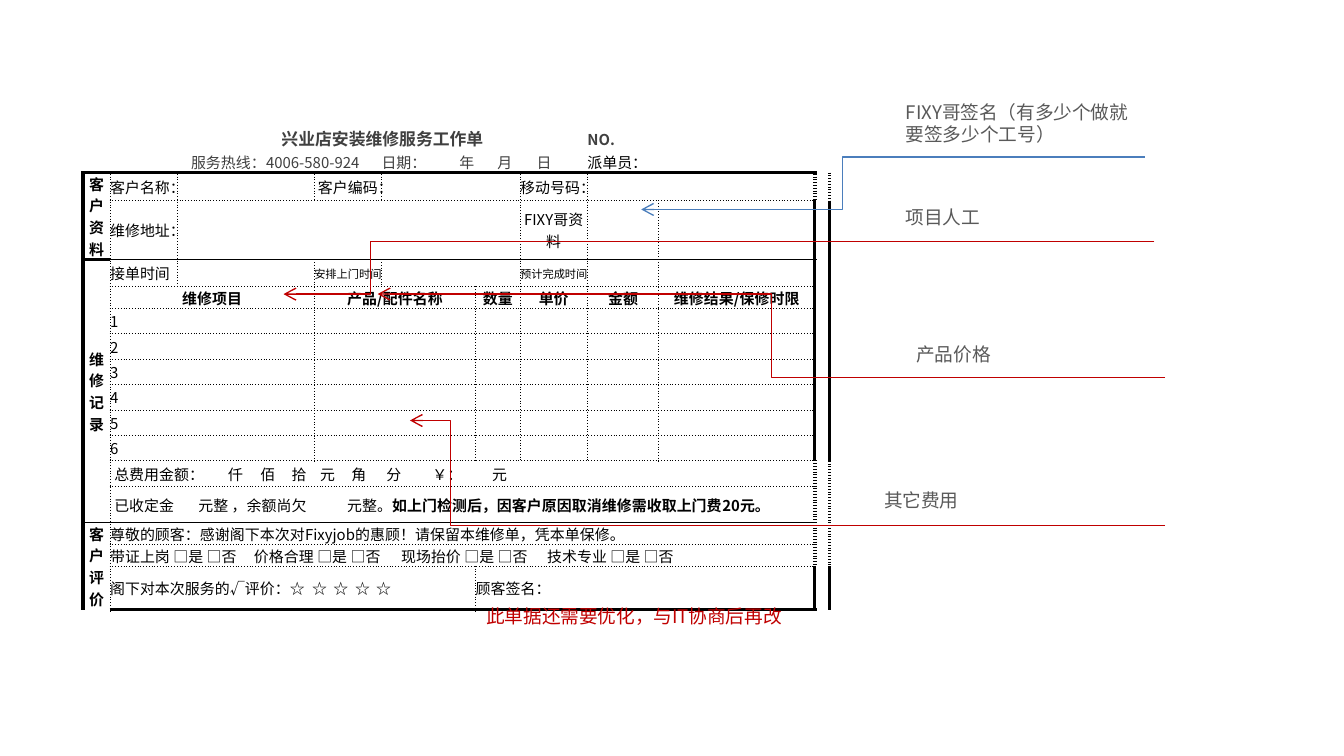
from itertools import product

from lxml import etree
from pptx import Presentation
from pptx.dml.color import RGBColor
from pptx.enum.shapes import MSO_CONNECTOR
from pptx.enum.text import MSO_ANCHOR, MSO_AUTO_SIZE, PP_ALIGN
from pptx.oxml.ns import qn
from pptx.util import Cm, Pt

COLORS = {"ink": "000000", "head": "404040", "note": "595959", "red": "C00000", "blue": "4B7EBC"}
FONT = "Noto Sans CJK SC"
NO_STYLE = "{2D5ABB26-0587-4C30-8999-92F81FD0307C}"
THICK, THICK_DOT, THIN, DOT = (2, "solid"), (2, "sysDot"), (0.5, "solid"), (0.5, "sysDot")

COLS = [0.51, 1.27, 2.59, 1.27, 1.78, 0.84, 1.27, 1.35, 2.95, 0.28]
ROWS = [0.43, 0.33, 0.53, 0.81, 0.51, 0.38] + [0.48] * 7 + [0.69, 0.36, 0.36, 0.64]
LAST_COL, LAST_ROW = 8, 16
DOTTED_EDGE_ROWS = {2, 12, 13, 14, 15}

BOLD = {"bold": True}
MID = {"align": PP_ALIGN.CENTER}
HEAD = {"color": "head"}
SMALL = {"size": 6}

# row, column, rows spanned, columns spanned, text, format
CELLS = [
    (0, 2, 1, 5, "兴业店安装维修服务工作单", {**HEAD, **BOLD, **MID, "size": 9}),
    (0, 7, 1, 1, "NO.", {**HEAD, **BOLD}),
    (1, 2, 1, 2, "服务热线：4006-580-924", {**HEAD, "indent": 0.26}),
    (1, 4, 1, 3, "日期：\t年\t月\t日", {**HEAD, "tabs": [1.47, 2.19, 2.93]}),
    (1, 7, 1, 1, "派单员：", {}),
    (2, 0, 2, 1, "客户资料", {**BOLD, **MID}),
    (2, 1, 1, 1, "客户名称：", {}),
    (2, 3, 1, 1, "客户编码：", MID),
    (2, 4, 1, 2, "", {}),
    (2, 6, 1, 1, "移动号码：", {}),
    (2, 7, 1, 2, "", {}),
    (3, 1, 1, 1, "维修地址：", {}),
    (3, 2, 1, 4, "", {}),
    (3, 6, 1, 1, "FIXY哥资料", MID),
    (4, 0, 10, 1, "维修记录", {**BOLD, **MID}),
    (4, 1, 1, 1, "接单时间", {}),
    (4, 3, 1, 1, "安排上门时间", {**SMALL, **MID}),
    (4, 4, 1, 2, "", {}),
    (4, 6, 1, 1, "预计完成时间", SMALL),
    (12, 1, 1, 8, "总费用金额：\t仟\t佰\t拾\t元\t角\t分\t￥：\t元",
     {"indent": 0.08, "tabs": [2.15, 2.76, 3.35, 3.89, 4.48, 5.14, 6.01, 7.14]}),
    (13, 1, 1, 8, [("已收定金", {}), ("\t", {"underline": True}), ("元整 ，余额尚欠", {}),
                   ("\t", {"underline": True}), ("元整。", {}),
                   ("如上门检测后，因客户原因取消维修需收取上门费20元。", BOLD)],
     {"indent": 0.08, "tabs": [1.59, 4.4]}),
    (14, 0, 3, 1, "客户评价", {**BOLD, **MID}),
    (14, 1, 1, 8, "尊敬的顾客：感谢阁下本次对Fixyjob的惠顾！请保留本维修单，凭本单保修。", {}),
    (15, 1, 1, 8, "带证上岗 □是 □否\t价格合理 □是 □否\t现场抬价 □是 □否\t技术专业 □是 □否",
     {"tabs": [2.72, 5.5, 8.26]}),
    (16, 1, 1, 4, "阁下对本次服务的√评价：☆\t☆\t☆\t☆\t☆", {"tabs": [3.82, 4.22, 4.63, 5.03]}),
    (16, 5, 1, 4, "顾客签名：", {}),
]
ITEM_COLUMNS = [(1, 2, "维修项目"), (3, 2, "产品/配件名称"), (5, 1, "数量"), (6, 1, "单价"),
                (7, 1, "金额"), (8, 1, "维修结果/保修时限")]
CELLS += [(5, c, 1, w, text, {**BOLD, **MID}) for c, w, text in ITEM_COLUMNS]
for n in range(1, 7):
    CELLS += [(5 + n, 1, 1, 2, str(n), {}), (5 + n, 3, 1, 2, "", {})]

# text, box (left, top, width, height), line start, line end, bend in percent, line colour
CALLOUTS = [
    ("项目人工", (16.87, 3.76, 4.78, 0.69), (21.82, 4.57), (5.36, 5.56), 90, "red"),
    ("产品价格", (17.07, 6.35, 4.78, 0.69), (22.02, 7.14), (7.14, 5.56), 50, "red"),
    ("其它费用", (16.46, 9.12, 4.78, 0.69), (22.02, 9.93), (7.75, 7.95), 94.6, "red"),
    ("FIXY哥签名（有多少个做就要签多少个工号）", (16.87, 1.78, 4.78, 1.12),
     (21.64, 2.97), (12.12, 3.96), 60, "blue"),
]


def rgb(name):
    return RGBColor.from_string(COLORS[name])


def edges(row, col, end_row, end_col):
    """Border of each side of a block of cells, as (width, dash)."""
    right = THICK_DOT if row in DOTTED_EDGE_ROWS else THICK
    if row == 0 or (row == 1 and col > LAST_COL):
        return {}
    if row == 1:
        return {"B": THICK}
    if col > LAST_COL:
        return {"L": right}
    bottom = {3: THIN, 13: THIN, LAST_ROW: THICK}.get(end_row, DOT)
    if col == 0 and end_row == LAST_ROW:
        bottom = THICK_DOT
    return {"L": THICK if col == 0 else DOT,
            "R": right if end_col == LAST_COL else DOT,
            "T": {2: THICK, 4: THIN, 14: THIN}.get(row, DOT),
            "B": bottom}


class SlideBuilder:
    def __init__(self, slide):
        self.s = slide

    def add_runs(self, p, text, size=8, color="ink", align=PP_ALIGN.LEFT, tabs=(), **font):
        p.alignment = align
        if tabs:
            tab_list = etree.SubElement(p._p.get_or_add_pPr(), qn("a:tabLst"))
            for pos in tabs:
                etree.SubElement(tab_list, qn("a:tab"), pos=str(Cm(pos)), algn="l")
        for part, extra in [(text, {})] if isinstance(text, str) else text:
            r = p.add_run()
            r.text = part
            values = {"size": Pt(size), "name": FONT, "bold": False, **font, **extra}
            for key, value in values.items():
                setattr(r.font, key, value)
            r.font.color.rgb = rgb(color)
            etree.SubElement(r._r.get_or_add_rPr(), qn("a:ea"), typeface=FONT)

    def text(self, text, box, color):
        tf = self.s.shapes.add_textbox(*map(Cm, box)).text_frame
        tf.word_wrap = True
        tf.auto_size = MSO_AUTO_SIZE.SHAPE_TO_FIT_TEXT
        self.add_runs(tf.paragraphs[0], text, size=10, color=color)

    def elbow_arrow(self, start, end, bend, color):
        line = self.s.shapes.add_connector(MSO_CONNECTOR.ELBOW, *map(Cm, start + end))
        line.line.width = Pt(0.75)
        line.line.color.rgb = rgb(color)
        sp_pr = line._element.spPr
        etree.SubElement(sp_pr.find(qn("a:ln")), qn("a:tailEnd"), type="arrow")
        etree.SubElement(sp_pr, qn("a:effectLst"))
        guides = sp_pr.find(qn("a:prstGeom")).get_or_add_avLst()
        etree.SubElement(guides, qn("a:gd"), name="adj1", fmla=f"val {round(bend * 1000)}")

    def borders(self, cell, sides):
        tc_pr = cell._tc.get_or_add_tcPr()
        for side in "LRTB":
            if side in sides:
                width, dash = sides[side]
                ln = etree.SubElement(tc_pr, qn(f"a:ln{side}"), w=str(Pt(width)))
                fill = etree.SubElement(ln, qn("a:solidFill"))
                etree.SubElement(fill, qn("a:srgbClr"), val=COLORS["ink"])
                etree.SubElement(ln, qn("a:prstDash"), val=dash)

    def block(self, table, row, col, height, width, text, fmt):
        """Merge, outline and fill in one block of cells."""
        fmt = dict(fmt)
        indent = fmt.pop("indent", 0)
        end_row, end_col = row + height - 1, col + width - 1
        sides = edges(row, col, end_row, end_col)
        for i, j in product(range(row, end_row + 1), range(col, end_col + 1)):
            cell = table.cell(i, j)
            outer = {"L": j == col, "R": j == end_col, "T": i == row, "B": i == end_row}
            self.borders(cell, {k: v for k, v in sides.items() if outer[k]})
            cell.fill.background()
            cell.vertical_anchor = MSO_ANCHOR.MIDDLE
            for margin in ("left", "right", "top", "bottom"):
                setattr(cell, f"margin_{margin}", 0)
            p = cell.text_frame.paragraphs[0]
            etree.SubElement(p._p, qn("a:endParaRPr"), sz="600")
        origin = table.cell(row, col)
        if height * width > 1:
            origin.merge(table.cell(end_row, end_col))
        origin.margin_left = Cm(indent)
        if text:
            self.add_runs(origin.text_frame.paragraphs[0], text, **fmt)

    def table(self, left, top, cells):
        frame = self.s.shapes.add_table(len(ROWS), len(COLS), Cm(left), Cm(top),
                                        Cm(sum(COLS)), Cm(sum(ROWS)))
        table = frame.table
        table.first_row = table.horz_banding = False
        table._tbl.tblPr.find(qn("a:tableStyleId")).text = NO_STYLE
        for column, width in zip(table.columns, COLS):
            column.width = Cm(width)
        for row, height in zip(table.rows, ROWS):
            row.height = Cm(height)
        covered = {(i, j) for r, c, h, w, *_ in cells
                   for i, j in product(range(r, r + h), range(c, c + w))}
        blanks = [(i, j, 1, 1, "", {}) for i, j in product(range(len(ROWS)), range(len(COLS)))
                  if (i, j) not in covered]
        for entry in cells + blanks:
            self.block(table, *entry)


def main():
    prs = Presentation()
    prs.slide_width, prs.slide_height = Cm(25.4), Cm(14.29)
    b = SlideBuilder(prs.slides.add_slide(prs.slide_layouts[6]))
    b.table(1.57, 2.39, CELLS)
    for text, box, start, end, bend, color in CALLOUTS:
        b.elbow_arrow(start, end, bend, color)
        b.text(text, box, "note")
    b.text("此单据还需要优化，与IT协商后再改", (8.94, 11.3, 8.33, 0.69), "red")
    prs.save("out.pptx")


if __name__ == "__main__":
    main()
